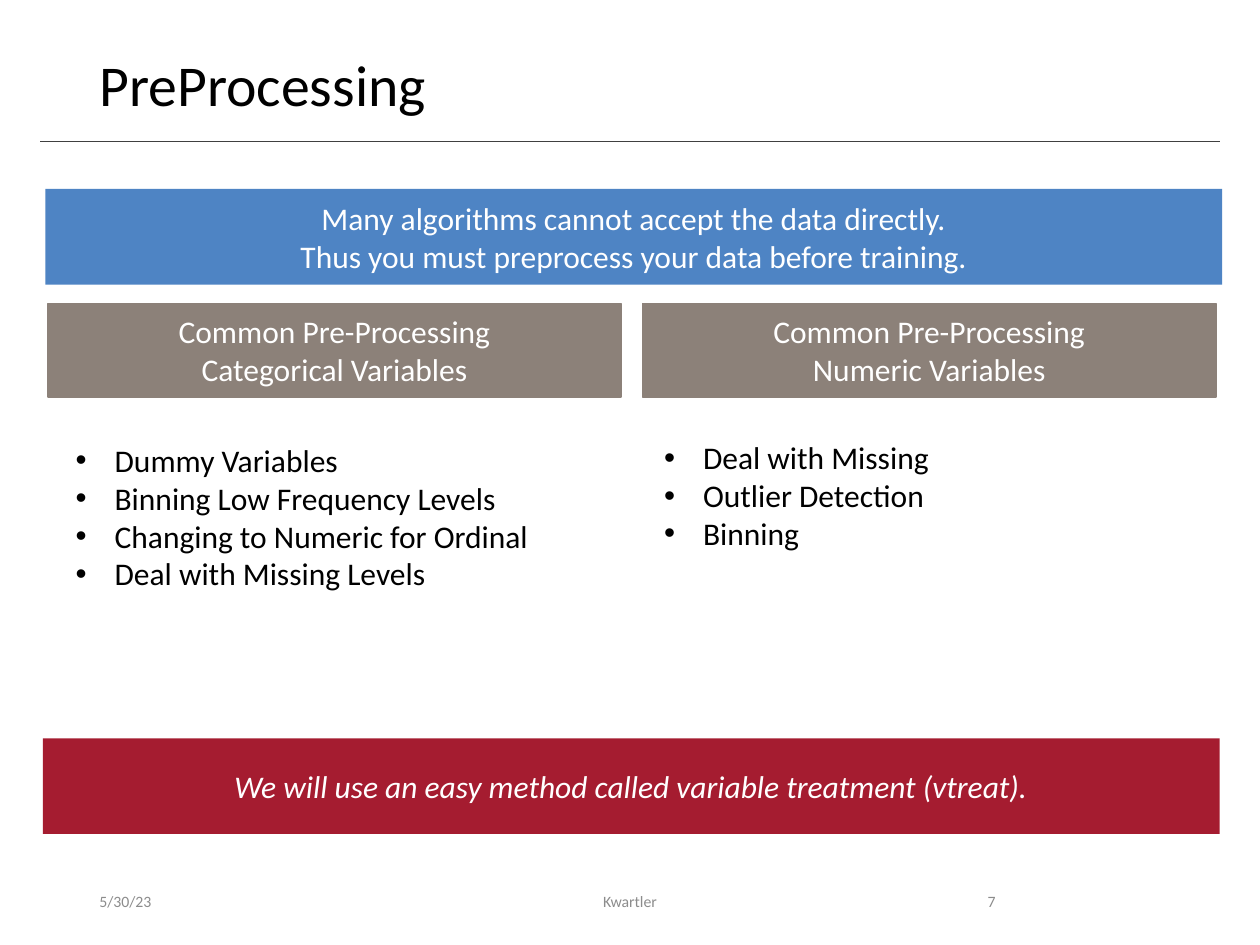
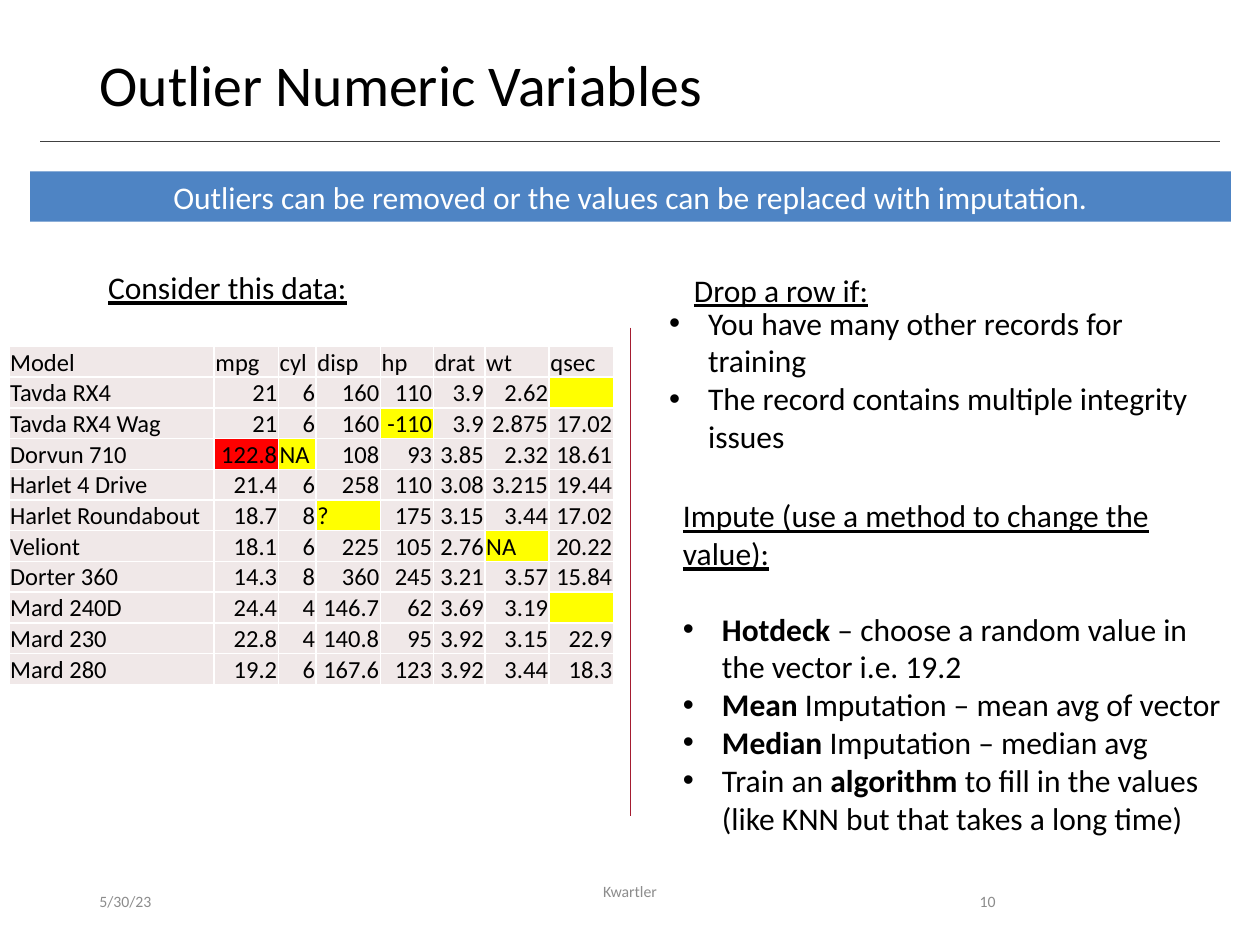
from dataclasses import dataclass

from lxml import etree
from pptx import Presentation
from pptx.dml.color import RGBColor
from pptx.enum.shapes import MSO_CONNECTOR, MSO_SHAPE
from pptx.enum.text import MSO_ANCHOR, MSO_AUTO_SIZE, PP_ALIGN
from pptx.oxml.ns import qn
from pptx.util import Inches, Pt

LEFT, CENTER, RIGHT = PP_ALIGN.LEFT, PP_ALIGN.CENTER, PP_ALIGN.RIGHT
TOP, MIDDLE, BOTTOM = MSO_ANCHOR.TOP, MSO_ANCHOR.MIDDLE, MSO_ANCHOR.BOTTOM
NO_AUTOFIT = MSO_AUTO_SIZE.NONE
RECTANGLE, STRAIGHT = MSO_SHAPE.RECTANGLE, MSO_CONNECTOR.STRAIGHT
TWO_CONTENT = 3


@dataclass(frozen=True)
class Theme:
    """Colours, font and type sizes shared by the slides."""
    font: str = "Calibri"
    title_size: float = 33
    body_size: float = 18
    table_size: float = 14
    footer_size: float = 9
    text: str = "000000"
    white: str = "FFFFFF"
    footer: str = "8C8C8C"
    rule: str = "404040"
    crimson: str = "A51C30"
    blue: str = "4E84C4"
    taupe: str = "8C8179"
    cell: str = "F0E8E8"
    suspect: str = "FFFF00"
    outlier: str = "FF0000"


THEME = Theme()

CAR_COLUMNS = [1.63, 0.51, 0.3, 0.51, 0.42, 0.41, 0.51, 0.51]
CAR_ROWS = [
    ["Model", "mpg", "cyl", "disp", "hp", "drat", "wt", "qsec"],
    ["Tavda RX4", "21", "6", "160", "110", "3.9", "2.62", ""],
    ["Tavda RX4 Wag", "21", "6", "160", "-110", "3.9", "2.875", "17.02"],
    ["Dorvun 710", "122.8", "NA", "108", "93", "3.85", "2.32", "18.61"],
    ["Harlet 4 Drive", "21.4", "6", "258", "110", "3.08", "3.215", "19.44"],
    ["Harlet Roundabout", "18.7", "8", "?", "175", "3.15", "3.44", "17.02"],
    ["Veliont", "18.1", "6", "225", "105", "2.76", "NA", "20.22"],
    ["Dorter 360", "14.3", "8", "360", "245", "3.21", "3.57", "15.84"],
    ["Mard 240D", "24.4", "4", "146.7", "62", "3.69", "3.19", ""],
    ["Mard 230", "22.8", "4", "140.8", "95", "3.92", "3.15", "22.9"],
    ["Mard 280", "19.2", "6", "167.6", "123", "3.92", "3.44", "18.3"],
]


def rgb(color):
    """Turn a hex string into a colour."""
    return RGBColor.from_string(color)


def add_run(p, text, size=THEME.body_size, color=THEME.text,
            bold=False, italic=False, underline=False):
    """Add one formatted run to a paragraph."""
    r = p.add_run()
    r.text = text
    font = r.font
    font.name, font.size, font.color.rgb = THEME.font, Pt(size), rgb(color)
    font.bold, font.italic, font.underline = bold, italic, underline


def next_paragraph(tf, align=LEFT):
    """Return the empty first paragraph, or a new one."""
    p = tf.paragraphs[0]
    if p.runs:
        p = tf.add_paragraph()
    p.alignment = align
    p.space_before = Pt(0)
    return p


def set_bullet(p, char="•"):
    """Give a paragraph a hanging bullet, or none when char is empty."""
    pPr = p._p.get_or_add_pPr()
    indent = Inches(0.31) if char else 0
    pPr.set("marL", str(indent))
    pPr.set("indent", str(-indent))
    if char:
        etree.SubElement(pPr, qn("a:buFont")).set("typeface", "Arial")
        etree.SubElement(pPr, qn("a:buChar")).set("char", char)
    else:
        etree.SubElement(pPr, qn("a:buNone"))


def place(sp, box):
    """Move and size a shape to a box in inches."""
    sp.left, sp.top, sp.width, sp.height = map(Inches, box)


def add_line(slide, start, end, color):
    """Draw a thin straight line between two points."""
    line = slide.shapes.add_connector(STRAIGHT, *map(Inches, start + end))
    line.line.color.rgb = rgb(color)
    line.line.width = Pt(0.5)
    etree.SubElement(line._element.spPr, qn("a:effectLst"))


def add_text(slide, box, text, align=LEFT, anchor=TOP, **style):
    """Add a text box with a single run."""
    tf = slide.shapes.add_textbox(*map(Inches, box)).text_frame
    tf.word_wrap = True
    tf.vertical_anchor = anchor
    add_run(next_paragraph(tf, align), text, **style)


def add_banner(slide, box, lines, fill, outline=False, italic=False):
    """Add a filled band with centred white lines."""
    sp = slide.shapes.add_shape(RECTANGLE, *map(Inches, box))
    sp.shadow.inherit = False
    sp.fill.solid()
    sp.fill.fore_color.rgb = rgb(fill)
    if outline:
        sp.line.color.rgb = rgb(fill)
        sp.line.width = Pt(1)
    else:
        sp.line.fill.background()
    tf = sp.text_frame
    tf.word_wrap = True
    tf.vertical_anchor = MIDDLE
    for line in lines:
        add_run(next_paragraph(tf, CENTER), line,
                color=THEME.white, italic=italic)


def fill_list(sp, box, items, heading=None):
    """Fill a body placeholder; odd parts between asterisks are bold."""
    place(sp, box)
    tf = sp.text_frame
    tf.auto_size = NO_AUTOFIT
    tf.vertical_anchor = TOP
    if heading:
        p = next_paragraph(tf)
        p.space_after = Pt(21.5)
        set_bullet(p, "")
        add_run(p, heading, underline=True)
    for item in items:
        p = next_paragraph(tf)
        set_bullet(p)
        for i, part in enumerate(item.split("*")):
            if part:
                add_run(p, part, bold=i % 2 == 1)


def add_slide(prs, title, number, footer_anchor=MIDDLE):
    """Add a slide with its title, rule and footers."""
    slide = prs.slides.add_slide(prs.slide_layouts[TWO_CONTENT])
    sp = slide.shapes.title
    place(sp, (0.69, 0.4, 8.62, 0.65))
    tf = sp.text_frame
    tf.auto_size = NO_AUTOFIT
    tf.vertical_anchor = TOP
    p = next_paragraph(tf)
    p.line_spacing = 0.9
    add_run(p, title, size=THEME.title_size)
    add_line(slide, (0.32, 1.12), (9.68, 1.12), THEME.rule)
    footers = [
        (0.69, 2.25, "5/30/23", LEFT, MIDDLE),
        (3.31, 3.38, "Kwartler", CENTER, footer_anchor),
        (7.06, 0.94, number, RIGHT, MIDDLE),
    ]
    for left, width, text, align, anchor in footers:
        add_text(slide, (left, 6.95, width, 0.4), text, align, anchor,
                 size=THEME.footer_size, color=THEME.footer)
    return slide


def is_number(text):
    """Tell whether a cell holds a number."""
    return text.lstrip("-").replace(".", "").isdigit()


def cell_color(text):
    """Choose a fill that flags missing, negative and extreme values."""
    if text == "122.8":
        return THEME.outlier
    if text in ("", "NA", "?") or text.startswith("-"):
        return THEME.suspect
    return THEME.cell


def set_borders(cell):
    """Give a cell white one-point borders."""
    tcPr = cell._tc.get_or_add_tcPr()
    for side in ("lnL", "lnR", "lnT", "lnB"):
        ln = etree.SubElement(tcPr, qn(f"a:{side}"), w=str(Pt(1)))
        fill = etree.SubElement(ln, qn("a:solidFill"))
        etree.SubElement(fill, qn("a:srgbClr"), val=THEME.white)


def format_cell(cell, text, anchor):
    """Write and style one table cell."""
    set_borders(cell)
    cell.fill.solid()
    cell.fill.fore_color.rgb = rgb(cell_color(text))
    cell.margin_left = cell.margin_right = cell.margin_top = Inches(0.01)
    cell.margin_bottom = 0
    cell.vertical_anchor = anchor
    p = next_paragraph(cell.text_frame, RIGHT if is_number(text) else LEFT)
    if text:
        add_run(p, text, size=THEME.table_size)
    else:
        etree.SubElement(p._p, qn("a:endParaRPr"),
                         sz=str(THEME.table_size * 100))


def add_data_table(slide, left, top, widths, rows, row_height=0.24):
    """Add a table with flagged cells."""
    box = (left, top, sum(widths), row_height * len(rows))
    table = slide.shapes.add_table(
        len(rows), len(widths), *map(Inches, box)).table
    table.first_row = table.horz_banding = False
    for column, width in zip(table.columns, widths):
        column.width = Inches(width)
    for i, row in enumerate(rows):
        for j, text in enumerate(row):
            format_cell(table.cell(i, j), text, BOTTOM if j else MIDDLE)


def build_preprocessing(prs):
    """Build the slide on common preprocessing steps."""
    slide = add_slide(prs, "PreProcessing", "7")
    add_banner(slide, (0.36, 1.5, 9.34, 0.76), [
        "Many algorithms cannot accept the data directly.",
        "Thus you must preprocess your data before training.",
    ], THEME.blue)
    for left, kind in ((0.38, "Categorical"), (5.1, "Numeric")):
        add_banner(slide, (left, 2.41, 4.55, 0.74),
                   ["Common Pre-Processing", f"{kind} Variables"],
                   THEME.taupe, outline=True)
    categorical, numeric = list(slide.placeholders)[1:]
    fill_list(categorical, (0.5, 3.45, 3.84, 1.31), [
        "Dummy Variables",
        "Binning Low Frequency Levels",
        "Changing to Numeric for Ordinal",
        "Deal with Missing Levels",
    ])
    fill_list(numeric, (5.17, 3.43, 2.35, 1.01),
              ["Deal with Missing", "Outlier Detection", "Binning"])
    add_banner(slide, (0.34, 5.86, 9.34, 0.76),
               ["We will use an easy method called variable treatment (vtreat)."],
               THEME.crimson, italic=True)


def build_outliers(prs):
    """Build the slide on outliers and imputation."""
    slide = add_slide(prs, "Outlier Numeric Variables", "10", TOP)
    add_banner(slide, (0.24, 1.36, 9.53, 0.4), [
        "Outliers can be removed or the values can be replaced with imputation.",
    ], THEME.blue)
    add_text(slide, (0.76, 2.08, 2.3, 0.4), "Consider this data:", underline=True)
    add_text(slide, (5.41, 2.1, 1.8, 0.4), "Drop a row if:", underline=True)
    add_line(slide, (5, 2.6), (5, 6.48), THEME.crimson)
    add_data_table(slide, 0.07, 2.75, CAR_COLUMNS, CAR_ROWS)
    drop, impute = list(slide.placeholders)[1:]
    fill_list(drop, (5.21, 2.36, 4.4, 1.31), [
        "You have many other records for training",
        "The record contains multiple integrity issues",
    ])
    fill_list(impute, (5.32, 3.89, 4.49, 2.83), [
        "*Hotdeck* – choose a random value in the vector i.e. 19.2",
        "*Mean* Imputation – mean avg of vector",
        "*Median* Imputation – median avg",
        "Train an *algorithm* to fill in the values (like KNN but that takes a long time)",
    ], heading="Impute (use a method to change the value):")


def main():
    """Build and save the presentation."""
    prs = Presentation()
    prs.slide_width, prs.slide_height = Inches(10), Inches(7.5)
    build_preprocessing(prs)
    build_outliers(prs)
    prs.save("out.pptx")


if __name__ == "__main__":
    main()
